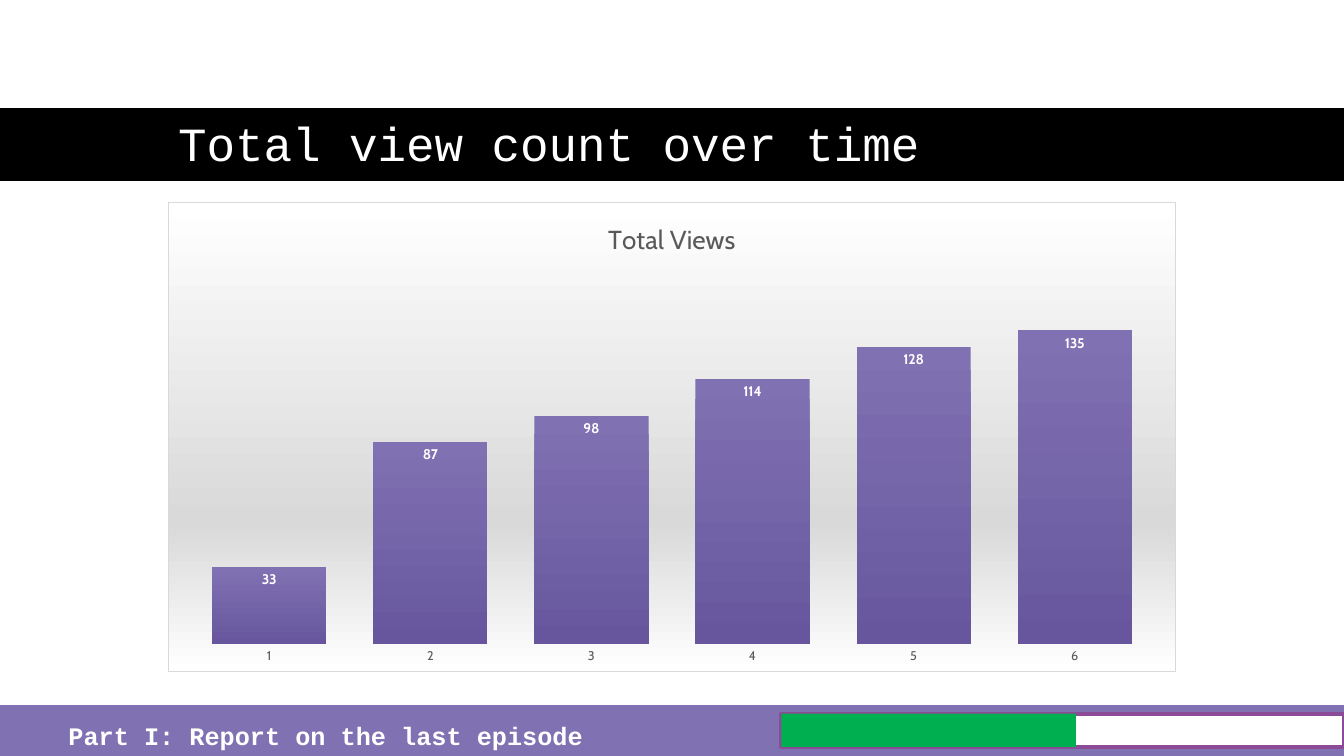
from lxml import etree
from pptx import Presentation
from pptx import util as u
from pptx.chart import data as chart_data
from pptx.dml.color import RGBColor
from pptx.enum import chart as charts, shapes, text
from pptx.oxml import parse_xml

WIDTH, HEIGHT = 13.33, 7.5
PURPLE, GREY = "8071B2", "D9D9D9"
NAMESPACES = ('xmlns:a="http://schemas.openxmlformats.org/drawingml/2006/main" '
              'xmlns:c="http://schemas.openxmlformats.org/drawingml/2006/chart"')


def style(font, name, size, color, bold=False):
    font.name, font.size, font.bold = name, u.Pt(size), bold
    font.color.rgb = RGBColor.from_string(color)


def gradient_properties(stops, line):
    """Shape properties with a downward gradient and a line."""
    colors = "".join(f'<a:gs pos="{share * 1000}"><a:srgbClr val="{color}"/></a:gs>'
                     for share, color in stops)
    return parse_xml(f'<c:spPr {NAMESPACES}><a:gradFill><a:gsLst>{colors}</a:gsLst>'
                     f'<a:lin ang="5400000" scaled="0"/></a:gradFill>{line}</c:spPr>')


presentation = Presentation()
presentation.slide_width, presentation.slide_height = u.Inches(WIDTH), u.Inches(HEIGHT)
slide = presentation.slides.add_slide(presentation.slide_layouts[5])

# Title band, footer band, progress track and progress made
bars = [
    (-0.33, 1.06, 13.67, 0.75, "000000", "FFFFFF", 1.5),
    (0, 7, WIDTH, 0.5, PURPLE, PURPLE, 1),
    (7.75, 7.08, 5.58, 0.33, "FFFFFF", "8C4B97", 3),
    (7.75, 7.08, 2.92, 0.33, "00B050", None, 0),
]
for left, top, width, height, fill, line, weight in bars:
    bar = slide.shapes.add_shape(shapes.MSO_SHAPE.RECTANGLE, u.Inches(left), u.Inches(top),
                                 u.Inches(width), u.Inches(height))
    bar.shadow.inherit = False
    bar.fill.solid()
    bar.fill.fore_color.rgb = RGBColor.from_string(fill)
    if line:
        bar.line.color.rgb = RGBColor.from_string(line)
        bar.line.width = u.Pt(weight)
    else:
        bar.line.fill.background()

# Title, brought in front of its band
title = slide.shapes.title
title.left, title.top = u.Inches(WIDTH / 8), u.Inches(0.5)
title.width, title.height = u.Inches(WIDTH * 3 / 4), u.Inches(1.25)
title.text = "Total view count over time"
title.text_frame.auto_size = text.MSO_AUTO_SIZE.NONE
title.text_frame.vertical_anchor = text.MSO_ANCHOR.BOTTOM
paragraph = title.text_frame.paragraphs[0]
paragraph.alignment = text.PP_ALIGN.LEFT
paragraph.line_spacing = 0.9
style(paragraph.font, "Courier New", 34, "FFFFFF")
slide.shapes._spTree.append(title._element)

# Footer text
footer = slide.shapes.add_textbox(u.Inches(0.58), u.Inches(7.1), u.Inches(5.42), u.Inches(0.4))
footer.text_frame.word_wrap = True
footer.text_frame.text = "Part I: Report on the last episode"
style(footer.text_frame.paragraphs[0].font, "Courier New", 18, "FFFFFF", True)

# Chart
views = chart_data.CategoryChartData()
views.categories = ["1", "2", "3", "4", "5", "6"]
views.add_series("Series 1", [33, 87, 98, 114, 128, 135])
chart = slide.shapes.add_chart(charts.XL_CHART_TYPE.COLUMN_CLUSTERED, u.Inches(WIDTH / 8),
                               u.Inches(2), u.Inches(WIDTH * 3 / 4), u.Inches(4.67), views).chart
style(chart.font, "Cabin", 10, "000000")
chart.has_legend = False
chart.has_title = True
chart.chart_title.include_in_layout = False
chart.chart_title.text_frame.text = "Total Views"
style(chart.chart_title.text_frame.paragraphs[0].font, "Cabin", 18.6, "595959")

# Axes
categories = chart.category_axis
categories.major_tick_mark = charts.XL_TICK_MARK.NONE
categories.format.line.fill.background()
style(categories.tick_labels.font, "Cabin", 9, "595959")
values = chart.value_axis
values.minimum_scale, values.maximum_scale = 0, 160
values.has_major_gridlines = False
values.visible = False

# Columns and their labels
plot = chart.plots[0]
plot.gap_width = 41
plot.vary_by_categories = False
plot.has_data_labels = True
labels = plot.data_labels
labels.show_value = True
labels.position = charts.XL_LABEL_POSITION.INSIDE_END
style(labels.font, "Cabin", 10, "FFFFFF", True)
series = plot.series[0]
series.format.fill.background()
column_properties = series._element.find("{*}spPr")
series._element.replace(column_properties, gradient_properties(
    [(0, PURPLE), (100, "67569E")], "<a:ln><a:noFill/></a:ln>"))

# Chart background and plot position
border = f'<a:ln w="9525"><a:solidFill><a:srgbClr val="{GREY}"/></a:solidFill></a:ln>'
chart._chartSpace.find("{*}txPr").addprevious(gradient_properties(
    [(0, "FFFFFF"), (68, GREY), (100, "FFFFFF")], border))
plot_area = chart._chartSpace.find(".//{*}plotArea")
for old_layout in plot_area.findall("{*}layout"):
    plot_area.remove(old_layout)
layout = parse_xml(f'<c:layout {NAMESPACES}><c:manualLayout/></c:layout>')
for name, value in [("layoutTarget", "inner"), ("xMode", "edge"), ("yMode", "edge"),
                    ("x", "0.02"), ("y", "0.15"), ("w", "0.96"), ("h", "0.79")]:
    etree.SubElement(layout[0], layout.tag.replace("layout", name)).set("val", value)
plot_area.insert(0, layout)

presentation.save("out.pptx")
